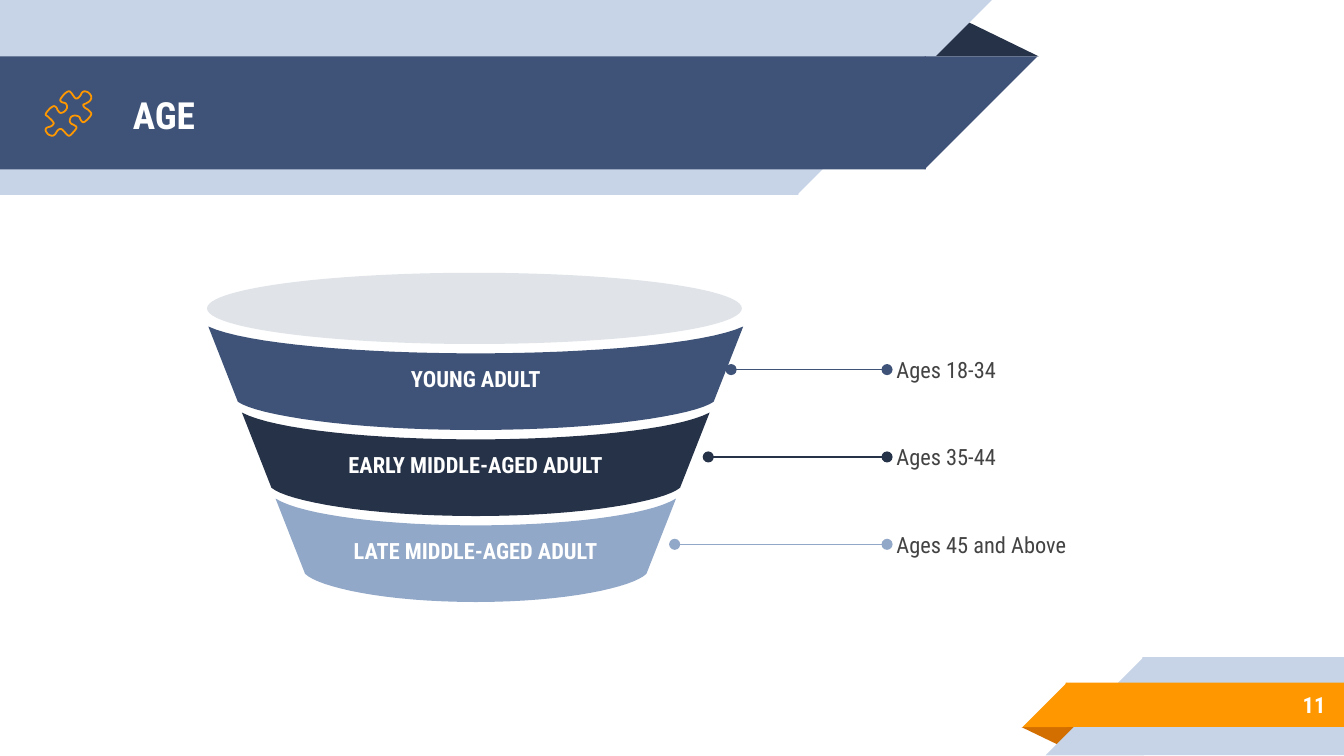
from dataclasses import dataclass

from lxml import etree
from pptx import Presentation
from pptx.dml.color import RGBColor
from pptx.enum.shapes import MSO_CONNECTOR, MSO_SHAPE
from pptx.enum.text import MSO_ANCHOR, PP_ALIGN
from pptx.oxml.ns import qn
from pptx.util import Inches, Pt

RECTANGLE = MSO_SHAPE.RECTANGLE
RIGHT_TRIANGLE = MSO_SHAPE.RIGHT_TRIANGLE
TRIANGLE = MSO_SHAPE.ISOSCELES_TRIANGLE
OVAL = MSO_SHAPE.OVAL
STRAIGHT = MSO_CONNECTOR.STRAIGHT
MIDDLE = MSO_ANCHOR.MIDDLE
LEFT, CENTER, RIGHT = PP_ALIGN.LEFT, PP_ALIGN.CENTER, PP_ALIGN.RIGHT

Point = tuple[float, float]


@dataclass(frozen=True)
class Theme:
    font: str = "Roboto Condensed"
    title_size: float = 20
    body_size: float = 12
    navy: str = "263248"
    blue: str = "3F5378"
    steel: str = "92A8C8"
    pale: str = "C7D3E6"
    rim: str = "E0E4E9"
    orange: str = "FF9800"
    rust: str = "D26F00"
    white: str = "FFFFFF"
    text: str = "434343"


@dataclass(frozen=True)
class Band:
    label: str
    ages: str
    color: str
    leader_start: float


THEME = Theme()
BANDS = [
    Band("YOUNG ADULT", "Ages 18-34", THEME.blue, 5.44),
    Band("EARLY MIDDLE-AGED ADULT", "Ages 35-44", THEME.navy, 5.27),
    Band("LATE MIDDLE-AGED ADULT", "Ages 45 and Above", THEME.steel, 5.02),
]
SLIDE_WIDTH = Inches(10)
SLIDE_HEIGHT = SLIDE_WIDTH * 9 // 16
SEAM_OVERLAP = 0.01
FUNNEL_CENTER, FUNNEL_TOP = 3.54, 2.43
BAND_STEP, BAND_HALF_WIDTH, BAND_NARROWING = 0.64, 1.99, 0.25
LEADER_TOP, LEADER_STEP, LEADER_END = 2.75, 0.65, 6.6

PUZZLE_POINTS = [
    (0.64, 0.77), (0.67, 0.75), (0.68, 0.72), (0.66, 0.69), (0.63, 0.68), (0.61, 0.69),
    (0.60, 0.71), (0.58, 0.73), (0.56, 0.73), (0.53, 0.69), (0.51, 0.68), (0.48, 0.70),
    (0.45, 0.74), (0.46, 0.76), (0.49, 0.77), (0.50, 0.80), (0.48, 0.83), (0.45, 0.84),
    (0.43, 0.82), (0.42, 0.80), (0.40, 0.79), (0.37, 0.81), (0.34, 0.85), (0.36, 0.87),
    (0.39, 0.90), (0.40, 0.92), (0.38, 0.94), (0.35, 0.95), (0.34, 0.97), (0.36, 1.00),
    (0.39, 1.01), (0.41, 1.00), (0.43, 0.97), (0.45, 0.96), (0.47, 0.97), (0.51, 1.01),
    (0.54, 0.99), (0.57, 0.95), (0.55, 0.93), (0.53, 0.92), (0.52, 0.90), (0.53, 0.87),
    (0.56, 0.86), (0.59, 0.87), (0.60, 0.89), (0.62, 0.91), (0.65, 0.89), (0.68, 0.85),
    (0.66, 0.82), (0.63, 0.80), (0.62, 0.78),
]


def paint(shape, color: str) -> None:
    shape.shadow.inherit = False
    shape.fill.solid()
    shape.fill.fore_color.rgb = RGBColor.from_string(color)
    shape.line.fill.background()


def add_block(slide, kind, left: float, top: float, width: float, height: float, color: str):
    block = slide.shapes.add_shape(kind, Inches(left), Inches(top), Inches(width), Inches(height))
    paint(block, color)
    return block


def add_fold(slide, left: float, top: float, width: float, height: float, color: str):
    """Draw the shaded triangle that makes a ribbon look folded."""
    fold = add_block(slide, TRIANGLE, left, top, width, height, color)
    fold.adjustments[0] = 0.324
    return fold


def add_ribbon(slide, left: float, top: float, width: float, height: float, color: str,
               from_left: bool) -> None:
    """Draw a bar with a 45-degree end that points away from its slide edge."""
    add_block(slide, RECTANGLE, left, top, width, height, color)
    end_left = left + width - SEAM_OVERLAP if from_left else left - height + SEAM_OVERLAP
    end = add_block(slide, RIGHT_TRIANGLE, end_left, top, height, height, color)
    end._element.spPr.xfrm.set("flipH", "1")
    if from_left:
        end.rotation = 180


def write(shape, text: str, size: float, color: str, bold: bool = False, align=LEFT,
          inset_x: float = 0, inset_y: float = 0) -> None:
    frame = shape.text_frame
    frame.word_wrap = True
    frame.vertical_anchor = MIDDLE
    frame.margin_left = frame.margin_right = Inches(inset_x)
    frame.margin_top = frame.margin_bottom = Inches(inset_y)
    frame.text = text
    para = frame.paragraphs[0]
    para.alignment = align
    font = para.runs[0].font
    font.name, font.size, font.bold = THEME.font, Pt(size), bold
    font.color.rgb = RGBColor.from_string(color)


def add_text_box(slide, left: float, top: float, width: float, height: float):
    return slide.shapes.add_textbox(Inches(left), Inches(top), Inches(width), Inches(height))


def bezier(start: Point, first: Point, second: Point, end: Point, steps: int = 16) -> list[Point]:
    points = []
    for step in range(steps + 1):
        t = step / steps
        weights = ((1 - t) ** 3, 3 * t * (1 - t) ** 2, 3 * t * t * (1 - t), t ** 3)
        corners = (start, first, second, end)
        points.append(tuple(sum(w * c[axis] for w, c in zip(weights, corners)) for axis in (0, 1)))
    return points


def smooth_loop(points: list[Point]) -> list[Point]:
    """Run a closed Catmull-Rom curve through the points."""
    loop = []
    for index, start in enumerate(points):
        before, end, after = (points[(index + offset) % len(points)] for offset in (-1, 1, 2))
        first = tuple(s + (e - b) / 6 for s, e, b in zip(start, end, before))
        second = tuple(e - (a - s) / 6 for e, a, s in zip(end, after, start))
        loop += bezier(start, first, second, end, 4)[:-1]
    return loop


def add_outline(slide, points: list[Point]):
    corners = [(Inches(x), Inches(y)) for x, y in points]
    builder = slide.shapes.build_freeform(*corners[0])
    builder.add_line_segments(corners[1:], close=True)
    return builder.convert_to_shape()


def sagging_edge(half_width: float, top: float, near: float, far: float, drop: float,
                 sag: float) -> list[Point]:
    """Return a symmetric curve, left to right, that hangs below its two ends."""
    left_half = bezier((-half_width, top), (-half_width * near, top + drop),
                       (-half_width * far, top + sag), (0, top + sag))
    right_half = [(-x, y) for x, y in reversed(left_half[:-1])]
    return [(FUNNEL_CENTER + x, y) for x, y in left_half + right_half]


def add_band(slide, band: Band, index: int) -> None:
    top = FUNNEL_TOP + index * BAND_STEP
    half_width = BAND_HALF_WIDTH - index * BAND_NARROWING
    upper = sagging_edge(half_width, top, 0.86, 0.42, 0.13, 0.2)
    lower = sagging_edge(half_width - 0.22, top + 0.56, 0.92, 0.53, 0.1, 0.21)
    shape = add_outline(slide, upper + lower[::-1])
    paint(shape, band.color)
    write(shape, band.label, THEME.body_size, THEME.white, True, CENTER, 0.07, 0.04)


def add_leader(slide, band: Band, index: int) -> None:
    y = LEADER_TOP + index * LEADER_STEP
    leader = slide.shapes.add_connector(STRAIGHT, Inches(band.leader_start), Inches(y),
                                        Inches(LEADER_END), Inches(y))
    leader.line.color.rgb = RGBColor.from_string(band.color)
    leader.line.width = Pt(0.75)
    line = leader.line._get_or_add_ln()
    for tag in ("a:headEnd", "a:tailEnd"):
        etree.SubElement(line, qn(tag)).set("type", "oval")
    etree.SubElement(leader._element.spPr, qn("a:effectLst"))
    caption = add_text_box(slide, 6.67, y - 0.23, 3.08, 0.46)
    write(caption, band.ages, THEME.body_size, THEME.text)


def add_puzzle_icon(slide) -> None:
    icon = add_outline(slide, smooth_loop(PUZZLE_POINTS))
    icon.shadow.inherit = False
    icon.fill.background()
    icon.line.color.rgb = RGBColor.from_string(THEME.orange)
    icon.line.width = Pt(0.96)


def main() -> None:
    deck = Presentation()
    deck.slide_width, deck.slide_height = SLIDE_WIDTH, SLIDE_HEIGHT
    slide = deck.slides.add_slide(deck.slide_layouts[6])

    add_fold(slide, 6.88, 0.14, 0.85, 0.28, THEME.navy)
    add_ribbon(slide, 0, 0, 5.94, 1.45, THEME.pale, from_left=True)
    add_ribbon(slide, 0, 0.42, 6.89, 0.84, THEME.blue, from_left=True)
    add_fold(slide, 7.6, 5.41, 0.43, 0.14, THEME.rust).rotation = 180
    add_ribbon(slide, 8.5, 4.89, 1.5, 0.73, THEME.pale, from_left=False)
    add_ribbon(slide, 7.93, 5.08, 2.07, 0.33, THEME.orange, from_left=False)

    title = add_text_box(slide, 0.89, 0.43, 5.75, 0.84)
    write(title, "AGE", THEME.title_size, THEME.white, True, LEFT, 0.1, 0.1)
    number = add_text_box(slide, 8.33, 5.07, 1.63, 0.35)
    write(number, "11", THEME.body_size, THEME.white, True, RIGHT, 0.1, 0.1)

    for index, band in enumerate(BANDS):
        add_band(slide, band, index)
        add_leader(slide, band, index)
    add_block(slide, OVAL, 1.54, 2.03, 3.98, 0.53, THEME.rim)
    add_puzzle_icon(slide)
    deck.save("out.pptx")


if __name__ == "__main__":
    main()
